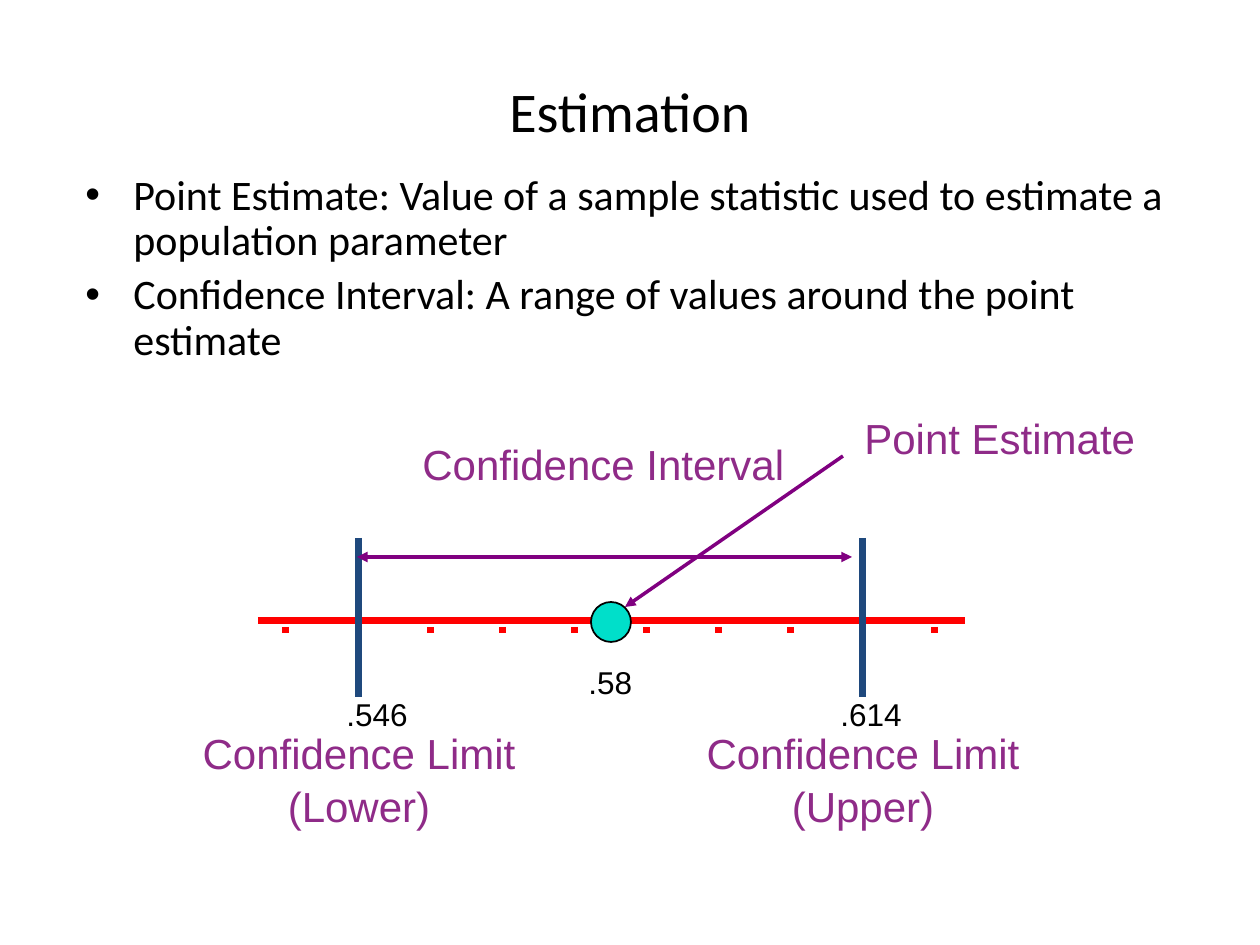
from lxml.etree import SubElement
from pptx import Presentation
from pptx.dml.color import RGBColor
from pptx.enum.shapes import MSO_CONNECTOR, MSO_SHAPE
from pptx.enum.text import MSO_ANCHOR, PP_ALIGN
from pptx.oxml.ns import qn
from pptx.util import Emu, Pt

COLORS = {"text": "000000", "label": "8F2B88", "axis": "FF0000",
          "limit": "1F497D", "arrow": "800080", "point": "00DFCA"}


def px(value):
    return Emu(round(value * 914400 / 126))


presentation = Presentation()
presentation.slide_width, presentation.slide_height = px(1260), px(945)
slide = presentation.slides.add_slide(presentation.slide_layouts[6])


def add_text(box, lines, size, font="Arial", color="text", align=PP_ALIGN.LEFT, wrap=True):
    frame = slide.shapes.add_textbox(*map(px, box)).text_frame
    frame.word_wrap = wrap
    for index, line in enumerate(lines):
        paragraph = frame.paragraphs[0] if index == 0 else frame.add_paragraph()
        paragraph.alignment = align
        run = paragraph.add_run()
        run.text = line
        run.font.name, run.font.size = font, Pt(size)
        run.font.color.rgb = RGBColor.from_string(COLORS[color])
    return frame


def add_line(start, end, color, width, ends=()):
    line = slide.shapes.add_connector(MSO_CONNECTOR.STRAIGHT, *map(px, start + end))
    line.line.color.rgb = RGBColor.from_string(COLORS[color])
    line.line.width = Pt(width)
    for end_name in ends:
        SubElement(line.line._get_or_add_ln(), qn(f"a:{end_name}"), type="triangle")
    SubElement(line._element.spPr, qn("a:effectLst"))


# Title and definitions
title = add_text((63, 63, 1134, 95), ["Estimation"], 32, "Calibri", align=PP_ALIGN.CENTER)
title.vertical_anchor = MSO_ANCHOR.MIDDLE

definitions = add_text((73, 168, 1124, 210), [
    "Point Estimate: Value of a sample statistic used to estimate a population parameter",
    "Confidence Interval: A range of values around the point estimate",
], 24, "Calibri")
for index, paragraph in enumerate(definitions.paragraphs):
    paragraph.line_spacing = 0.9
    paragraph.space_before = Pt(5 * index)
    properties = paragraph._p.get_or_add_pPr()
    properties.set("marL", str(px(48)))
    properties.set("indent", str(px(-48)))
    SubElement(properties, qn("a:buFont"), typeface="Arial")
    SubElement(properties, qn("a:buChar"), char="•")

# Number line with ten evenly spaced ticks
for tick in range(10):
    x = 286 + 72.1 * tick
    add_line((x, 627), (x, 633), "axis", 4)
add_line((258, 621), (965, 621), "axis", 4)

# Labels
for box, label, align in (
    ((410, 429, 441, 63), "Confidence Interval", PP_ALIGN.LEFT),
    ((852, 403, 335, 63), "Point Estimate", PP_ALIGN.LEFT),
    ((173, 718, 372, 113), "Confidence Limit (Lower)", PP_ALIGN.CENTER),
    ((677, 718, 372, 113), "Confidence Limit (Upper)", PP_ALIGN.CENTER),
):
    label_frame = add_text(box, [label], 24, color="label", align=align)
    label_frame.paragraphs[0].line_spacing = 1.06

# Point estimate
point = slide.shapes.add_shape(MSO_SHAPE.OVAL, px(591), px(602), px(40), px(40))
point.shadow.inherit = False
point.fill.solid()
point.fill.fore_color.rgb = RGBColor.from_string(COLORS["point"])
point.line.color.rgb = RGBColor.from_string(COLORS["text"])
point.line.width = Pt(1)

# Limits and arrows
for x in (359, 863):
    add_line((x, 538), (x, 697), "limit", 4)
add_line((843, 456), (625, 607), "arrow", 2, ["tailEnd"])
add_line((357, 557), (852, 557), "arrow", 2, ["headEnd", "tailEnd"])

# Values
for box, value in (((576, 657, 69, 50), ".58"),
                   ((334, 689, 87, 50), ".546"),
                   ((828, 689, 87, 50), ".614")):
    add_text(box, [value], 18, wrap=False)

presentation.save("out.pptx")
